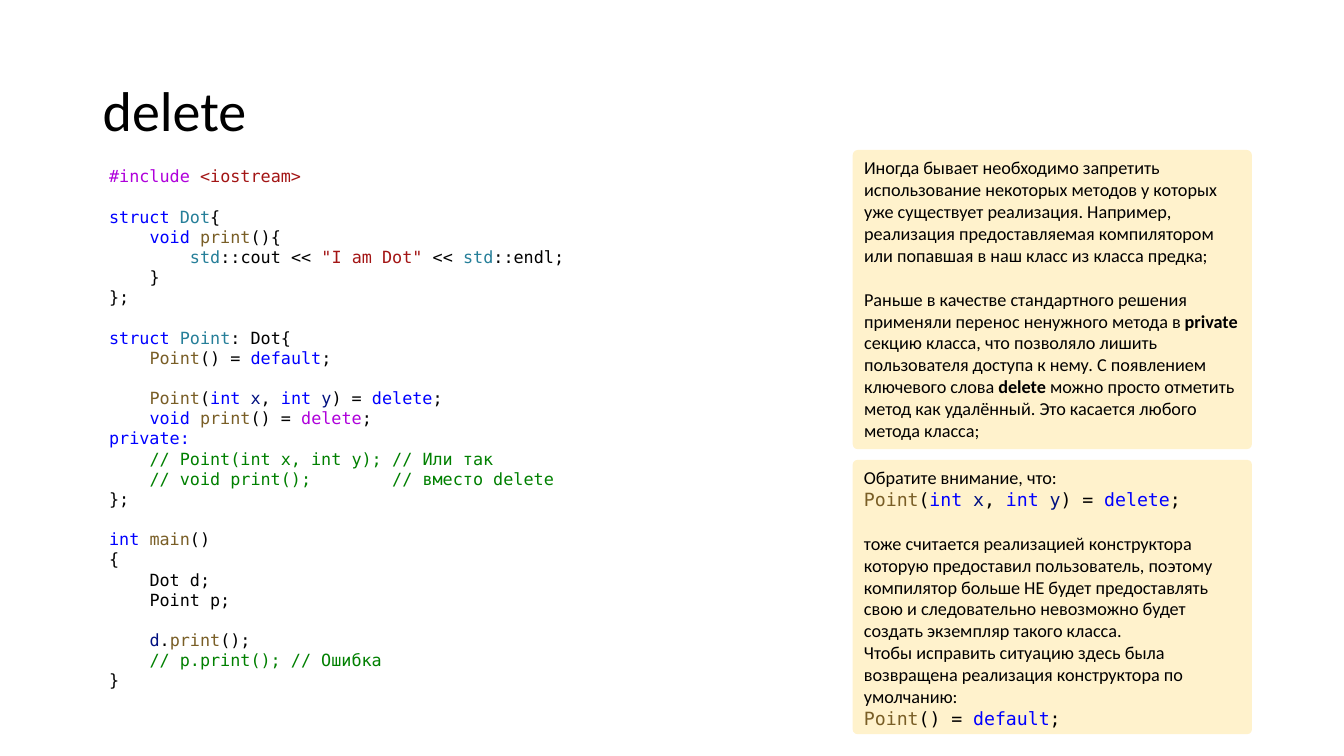
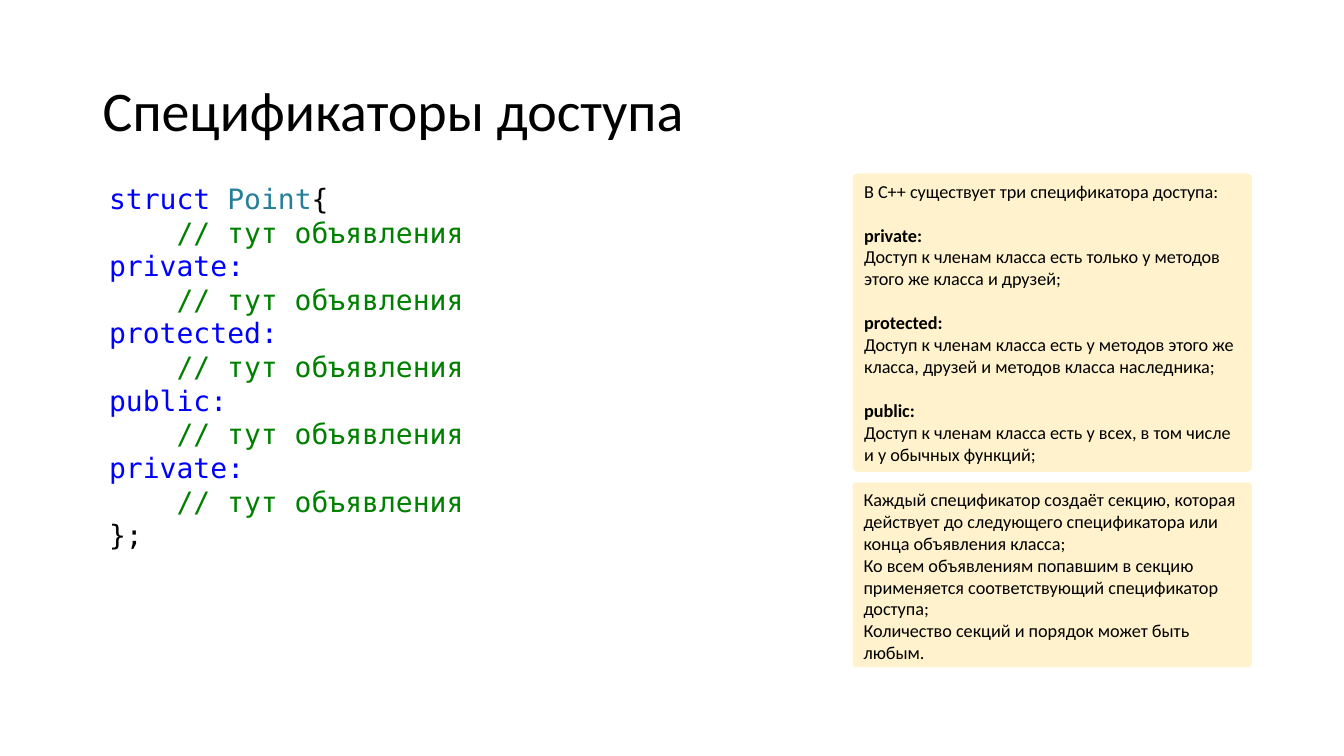
from lxml import etree
from pptx import Presentation
from pptx.dml.color import RGBColor
from pptx.enum.shapes import MSO_SHAPE
from pptx.enum.text import MSO_ANCHOR, PP_ALIGN
from pptx.oxml.ns import qn
from pptx.util import Cm, Pt

# Content. "~kword~" formats a word by its key letter (see THEME["keys"]),
# "" leaves a line free above the next one, ">" starts a code line in a note.
COMMENT = "\t~c// тут объявления~"
CTOR_DELETE = "~fPoint~(~kint ~~vx~, ~kint ~~vy~) = ~kdelete~;"
CTOR_DEFAULT = "~fPoint~() = ~kdefault~;"

SLIDES = [
    {
        "title": "delete",
        "code_top": 4.06, "code_size": 12,
        "code": [
            "~d#include ~~s<iostream>~",
            "",
            "~kstruct ~~tDot~{",
            "\t~kvoid ~~fprint~(){",
            "\t\t~tstd~::cout << ~s\"I am Dot\"~ << ~tstd~::endl;",
            "\t}",
            "};",
            "",
            "~kstruct ~~tPoint~: Dot{",
            "\t" + CTOR_DEFAULT,
            "",
            "\t" + CTOR_DELETE,
            "\t~kvoid ~~fprint~() = ~ddelete~;",
            "~kprivate:~",
            "\t~c// Point(int x, int y);\t// Или так~",
            "\t~c// void print();\t// вместо delete~",
            "};",
            "",
            "~kint ~~fmain~()",
            "{",
            "\tDot d;",
            "\tPoint p;",
            "",
            "\t~vd~.~fprint~();",
            "\t~c// p.print(); // Ошибка~",
            "}",
        ],
        "notes_top": 3.78,
        "notes": [
            (7.54, [
                "Иногда бывает необходимо запретить использование некоторых "
                "методов у которых уже существует реализация. Например, "
                "реализация предоставляемая компилятором или попавшая в наш "
                "класс из класса предка;",
                "",
                "Раньше в качестве стандартного решения применяли перенос "
                "ненужного метода в ~bprivate ~секцию класса, что позволяло "
                "лишить пользователя доступа к нему. С появлением ключевого "
                "слова ~bdelete ~можно просто отметить метод как удалённый. "
                "Это касается любого метода класса;",
            ]),
            (6.91, [
                "Обратите внимание, что:",
                ">" + CTOR_DELETE,
                "",
                "тоже считается реализацией конструктора которую предоставил "
                "пользователь, поэтому компилятор больше НЕ будет "
                "предоставлять свою и следовательно невозможно будет создать "
                "экземпляр такого класса.",
                "Чтобы исправить ситуацию здесь была возвращена реализация "
                "конструктора по умолчанию:",
                ">" + CTOR_DEFAULT,
            ]),
        ],
    },
    {
        "title": "Спецификаторы доступа",
        "code_top": 4.45, "code_size": 20,
        "code": [
            "~kstruct ~~tPoint~{", COMMENT,
            "~kprivate:~", COMMENT,
            "~kprotected:~", COMMENT,
            "~kpublic:~", COMMENT,
            "~kprivate:~", COMMENT,
            "};",
        ],
        "notes_top": 4.37,
        "notes": [
            (7.52, [
                "В С++ существует три спецификатора доступа:",
                "",
                "~bprivate:~",
                "Доступ к членам класса есть только у методов этого же класса "
                "и друзей;",
                "",
                "~bprotected:~",
                "Доступ к членам класса есть у методов этого же класса, друзей "
                "и методов класса наследника;",
                "",
                "~bpublic:~",
                "Доступ к членам класса есть у всех, в том числе и у обычных "
                "функций;",
            ]),
            (4.65, [
                "Каждый спецификатор создаёт секцию, которая действует до "
                "следующего спецификатора или конца объявления класса;",
                "Ко всем объявлениям попавшим в секцию применяется "
                "соответствующий спецификатор доступа;",
                "Количество секций и порядок может быть любым.",
            ]),
        ],
    },
]

THEME = {
    "text_font": "Calibri", "code_font": "DejaVu Sans Mono",
    "title_size": 40, "note_size": 13,
    "text": "000000", "note_fill": "FFF2CC",
    "keys": {
        "k": "0000FF",  # keyword
        "t": "267F99",  # type
        "f": "795E26",  # function
        "v": "001080",  # variable
        "s": "A31515",  # string
        "d": "AF00DB",  # directive
        "c": "008000",  # comment
        "b": "000000",  # bold
    },
}

# Layout in centimetres
SLIDE_W, SLIDE_H = 33.87, 19.05
LEFT, WIDTH = 2.34, 29.21
TITLE_TOP, TITLE_H = 1.02, 3.68
CODE_BOTTOM, CODE_INSET = 17.15, 0.41
NOTE_W, NOTE_GAP, NOTE_RADIUS = 10.06, 0.27, 0.017
NOTE_LEFT = LEFT + WIDTH - NOTE_W

# Code metrics
CHAR_W = 0.602
LINE_H = 1.2
TAB_COLUMNS = (4, 8, 28)


def write(tf, lines, size, font, gap=1.22, spacing=None, tabs=()):
    """Write marked-up lines as paragraphs of a text frame."""
    tf.word_wrap = True
    p, free = None, False
    for line in lines:
        if not line:
            free = True
            continue
        p = tf.add_paragraph() if p is not None else tf.paragraphs[0]
        p.alignment = PP_ALIGN.LEFT
        if spacing:
            p.line_spacing = spacing
        if free:
            p.space_before = Pt(gap * size)
        free = False
        if tabs:
            stops = etree.SubElement(p._p.get_or_add_pPr(), qn("a:tabLst"))
            for pos in tabs:
                etree.SubElement(stops, qn("a:tab"), pos=str(int(pos)), algn="l")
        mono = line.startswith(">")
        for i, part in enumerate(line[mono:].split("~")):
            if not part:
                continue
            key, text = (part[0], part[1:]) if i % 2 else ("", part)
            r = p.add_run()
            r.text = text
            r.font.name = THEME["code_font"] if mono else font
            r.font.size = Pt(size)
            r.font.bold = key == "b"
            color = THEME["keys"].get(key, THEME["text"])
            r.font.color.rgb = RGBColor.from_string(color)


def add_box(s, top, height):
    sp = s.shapes.add_textbox(Cm(LEFT), Cm(top), Cm(WIDTH), Cm(height))
    return sp.text_frame


def add_title(s, text):
    tf = add_box(s, TITLE_TOP, TITLE_H)
    tf.vertical_anchor = MSO_ANCHOR.MIDDLE
    write(tf, [text], THEME["title_size"], THEME["text_font"], spacing=0.9)


def add_code(s, lines, top, size):
    tf = add_box(s, top, CODE_BOTTOM - top)
    tf.margin_left = Cm(CODE_INSET)
    tabs = [Pt(col * CHAR_W * size) for col in TAB_COLUMNS]
    write(tf, lines, size, THEME["code_font"], gap=LINE_H,
          spacing=Pt(LINE_H * size), tabs=tabs)


def add_note(s, lines, top, height):
    sp = s.shapes.add_shape(MSO_SHAPE.ROUNDED_RECTANGLE, Cm(NOTE_LEFT),
                            Cm(top), Cm(NOTE_W), Cm(height))
    sp.adjustments[0] = NOTE_RADIUS
    sp.shadow.inherit = False
    sp.fill.solid()
    sp.fill.fore_color.rgb = RGBColor.from_string(THEME["note_fill"])
    sp.line.fill.background()
    sp.text_frame.vertical_anchor = MSO_ANCHOR.TOP
    write(sp.text_frame, lines, THEME["note_size"], THEME["text_font"])


# Build the slides
prs = Presentation()
prs.slide_width, prs.slide_height = Cm(SLIDE_W), Cm(SLIDE_H)
for page in SLIDES:
    s = prs.slides.add_slide(prs.slide_layouts[6])
    add_code(s, page["code"], page["code_top"], page["code_size"])
    add_title(s, page["title"])
    top = page["notes_top"]
    for height, lines in page["notes"]:
        add_note(s, lines, top, height)
        top += height + NOTE_GAP
prs.save("out.pptx")
